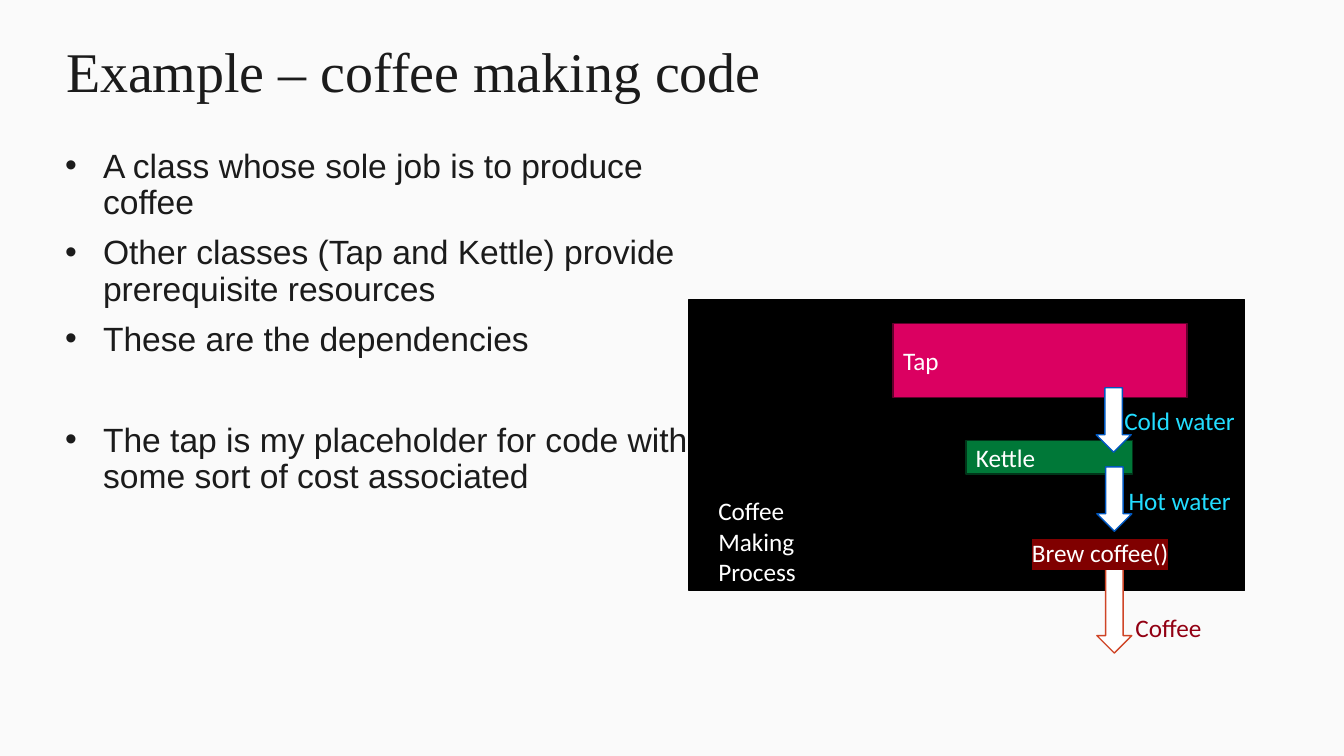
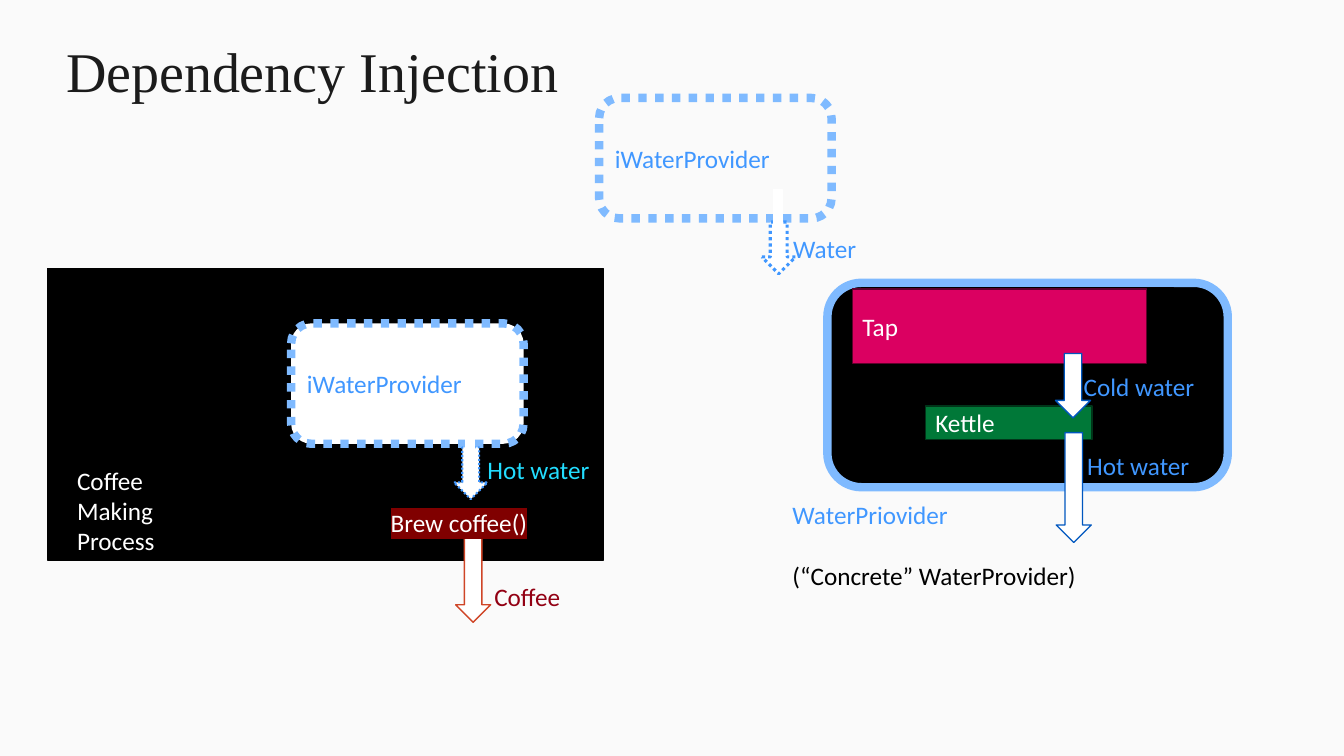
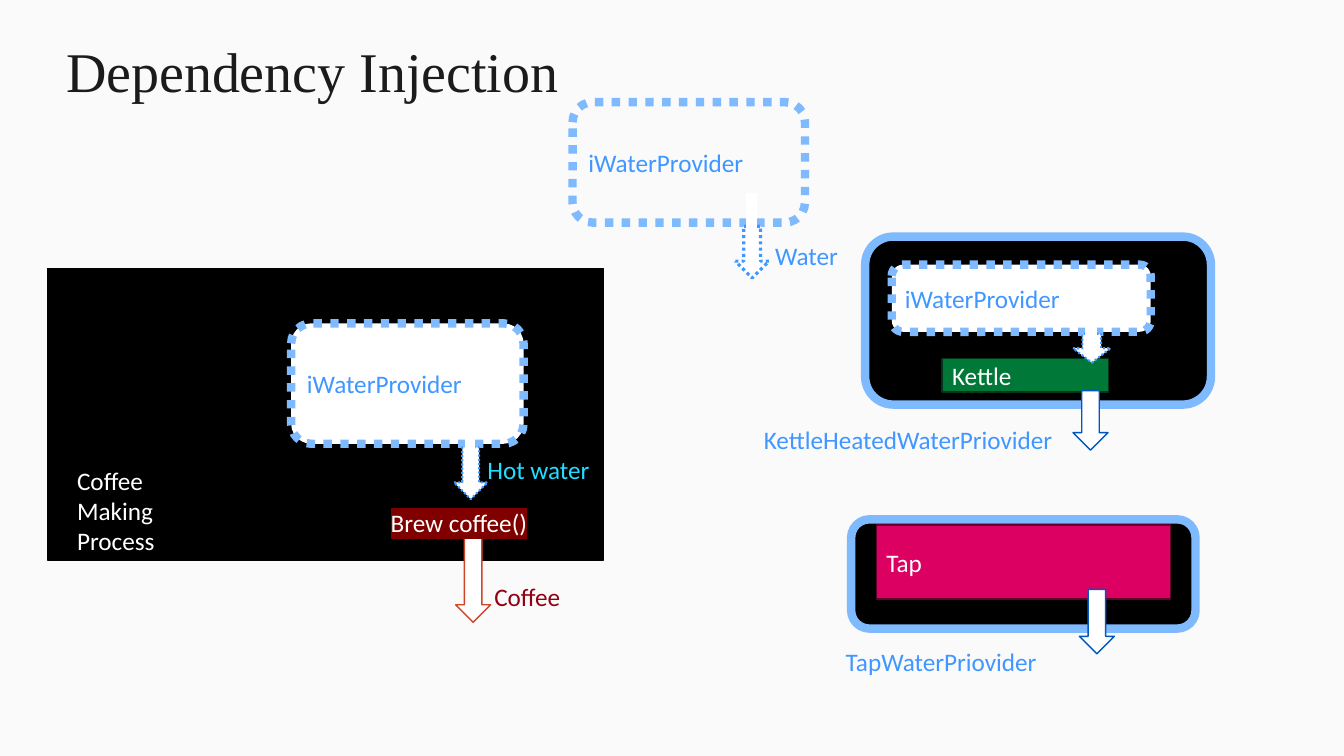
from lxml import etree
from pptx import Presentation
from pptx.dml.color import RGBColor
from pptx.enum.dml import MSO_LINE
from pptx.enum.shapes import MSO_SHAPE
from pptx.enum.text import MSO_ANCHOR, MSO_AUTO_SIZE, PP_ALIGN
from pptx.oxml.ns import qn
from pptx.util import Pt

RECTANGLE = MSO_SHAPE.RECTANGLE
ROUNDED = MSO_SHAPE.ROUNDED_RECTANGLE
DOWN_ARROW = MSO_SHAPE.DOWN_ARROW
DOTTED = MSO_LINE.ROUND_DOT
MIDDLE = MSO_ANCHOR.MIDDLE
NO_AUTOFIT = MSO_AUTO_SIZE.NONE
LEFT = PP_ALIGN.LEFT

PAPER = "FAFAFA"
INK = "1B1B1B"
BLACK = "000000"
WHITE = "FFFFFF"
PINK = "DB0061"
PINK_EDGE = "60002B"
GREEN = "007838"
GREEN_EDGE = "003519"
BLUE = "4097FF"
BLUE_EDGE = "0057BF"
PALE_BLUE = "7FBAFF"
CYAN = "22DDFF"
ORANGE = "CF4527"
DARK_RED = "920013"
MAROON = "800000"

TITLE_FONT = "Times New Roman"
BODY_FONT = "Arial"
LABEL_FONT = "Calibri"
ARROW_WIDTH = 25
LABEL_WIDTH = 109
LABEL_HEIGHT = 30


def rgb(value):
    return RGBColor.from_string(value)


class CoffeeDeck:
    def __init__(self):
        self.deck = Presentation()
        self.deck.slide_width = Pt(960)
        self.deck.slide_height = Pt(540)
        background = self.deck.slide_master.background.fill
        background.solid()
        background.fore_color.rgb = rgb(PAPER)
        self.page = None

    def format_text(self, frame, font, size, color):
        for para in frame.paragraphs:
            for span in para.runs:
                span.font.name = font
                span.font.size = Pt(size)
                span.font.color.rgb = rgb(color)

    def add_page(self, title):
        self.page = self.deck.slides.add_slide(self.deck.slide_layouts[5])
        box = self.page.shapes.title
        box.left, box.top, box.width, box.height = Pt(40), Pt(34.5), Pt(781), Pt(37.5)
        frame = box.text_frame
        frame.text = title
        frame.auto_size = NO_AUTOFIT
        frame.vertical_anchor = MIDDLE
        frame.paragraphs[0].alignment = LEFT
        frame.paragraphs[0].line_spacing = 0.9
        self.format_text(frame, TITLE_FONT, 40, INK)

    def text_box(self, text, x, y, width, height, font, size, color):
        box = self.page.shapes.add_textbox(Pt(x), Pt(y), Pt(width), Pt(height))
        frame = box.text_frame
        frame.word_wrap = True
        frame.text = text
        self.format_text(frame, font, size, color)
        return frame

    def label(self, text, x, y, color, width=LABEL_WIDTH, height=LABEL_HEIGHT):
        return self.text_box(text, x, y, width, height, LABEL_FONT, 18, color)

    def bullets(self, items, x, y, width, height):
        text = "\n".join(item for item, gap in items)
        frame = self.text_box(text, x, y, width, height, BODY_FONT, 24, INK)
        for para, (item, gap) in zip(frame.paragraphs, items):
            para.line_spacing = 0.9
            para.space_before = Pt(gap)
            properties = para._p.get_or_add_pPr()
            properties.set("marL", str(Pt(27)))
            properties.set("indent", str(-Pt(27)))
            etree.SubElement(properties, qn("a:buFont")).set("typeface", BODY_FONT)
            etree.SubElement(properties, qn("a:buChar")).set("char", "•")

    def highlight(self, frame, color):
        fill = frame.paragraphs[0].runs[0]._r.rPr.find(qn("a:solidFill"))
        mark = etree.Element(qn("a:highlight"))
        etree.SubElement(mark, qn("a:srgbClr")).set("val", color)
        fill.addnext(mark)

    def shape(self, kind, x, y, width, height, fill, line, weight=1,
              dash=None, text="", color=WHITE):
        box = self.page.shapes.add_shape(kind, Pt(x), Pt(y), Pt(width), Pt(height))
        box.shadow.inherit = False
        if fill:
            box.fill.solid()
            box.fill.fore_color.rgb = rgb(fill)
        else:
            box.fill.background()
        box.line.color.rgb = rgb(line)
        box.line.width = Pt(weight)
        if dash:
            box.line.dash_style = dash
        if text:
            box.text_frame.text = text
            self.format_text(box.text_frame, LABEL_FONT, 18, color)

    def arrow(self, x, y, height, line=BLUE_EDGE):
        self.shape(DOWN_ARROW, x, y, ARROW_WIDTH, height, WHITE, line)

    def frame(self, x, y, width, height):
        self.shape(ROUNDED, x, y, width, height, BLACK, PALE_BLUE, 6)

    def tap(self, x, y):
        self.shape(RECTANGLE, x, y, 210, 53, PINK, PINK_EDGE, text="Tap")
        self.arrow(x + 145, y + 46, 46)

    def kettle(self, x, y, drop, arrow_height):
        self.shape(RECTANGLE, x, y, 119, 24, GREEN, GREEN_EDGE, text="Kettle")
        self.arrow(x + 93.5, y + drop, arrow_height)

    def tap_and_kettle(self, x, y, arrow_height, color):
        self.kettle(x + 52, y + 83.5, 19, arrow_height)
        self.tap(x, y)
        self.label("Cold water", x + 158, y + 55, color)

    def interface(self, x, y, width=166, height=86, fill=WHITE, weight=1.5):
        self.shape(ROUNDED, x, y, width, height, fill, PALE_BLUE, 6, DOTTED,
                   "iWaterProvider", BLUE)
        self.shape(DOWN_ARROW, x + 0.7 * width, y + 1.03 * height,
                   0.145 * width, 0.43 * height, WHITE, BLUE, weight, DOTTED)
        self.shape(RECTANGLE, x + 0.75 * width, y + 0.76 * height,
                   0.04 * width, 0.42 * height, WHITE, WHITE)

    def coffee_process(self, x, y):
        self.shape(RECTANGLE, x, y, 397, 208, BLACK, BLACK)
        self.arrow(x + 291.5, y + 192.5, 60, ORANGE)
        self.label("Coffee\nMaking Process", x + 14, y + 136.5, WHITE, 88, 73)
        brew = self.label("Brew coffee()", x + 238, y + 166.5, WHITE, 119, 29)
        self.highlight(brew, MAROON)
        self.label("Hot water", x + 307, y + 129, CYAN)
        self.label("Coffee", x + 312, y + 220, DARK_RED)

    def injected_process(self):
        self.coffee_process(34, 192)
        self.interface(208, 231)


def main():
    coffee = CoffeeDeck()

    coffee.add_page("Example – coffee making code")
    coffee.coffee_process(492, 214)
    coffee.tap_and_kettle(638, 231, 46, CYAN)
    coffee.bullets([
        ("A class whose sole job is to produce coffee", 10),
        ("Other classes (Tap and Kettle) provide prerequisite resources", 10),
        ("These are the dependencies", 10),
        ("The tap is my placeholder for code with some sort of cost associated", 46),
    ], 39.5, 103, 481, 345)

    coffee.add_page("Dependency Injection")
    coffee.injected_process()
    coffee.frame(591, 202, 286, 146)
    coffee.tap_and_kettle(609, 206.5, 78.5, BLUE)
    coffee.label("Hot water", 769.5, 318, BLUE)
    concrete = coffee.label("WaterPriovider\n(“Concrete” WaterProvider)",
                            559, 353, BLUE, 219, 73)
    remark = concrete.paragraphs[1]
    remark.space_before = Pt(22)
    remark.runs[0].font.color.rgb = rgb(BLACK)
    coffee.interface(428, 70, fill=None, weight=2.25)
    coffee.label("Water", 559.5, 163, BLUE)

    coffee.add_page("Dependency Injection")
    coffee.injected_process()
    coffee.frame(608, 371, 246, 78)
    coffee.tap(626, 375)
    coffee.frame(618, 169, 247, 120)
    coffee.kettle(673, 256, 23, 42.5)
    coffee.interface(637, 189, 185, 48)
    coffee.label("TapWaterPriovider", 597, 458, BLUE, 152, 29)
    coffee.label("KettleHeatedWaterPriovider", 538.5, 299.5, BLUE, 223, 29)
    coffee.interface(409, 73, fill=None, weight=2.25)
    coffee.label("Water", 546.5, 168, BLUE)

    coffee.deck.save("out.pptx")


if __name__ == "__main__":
    main()
